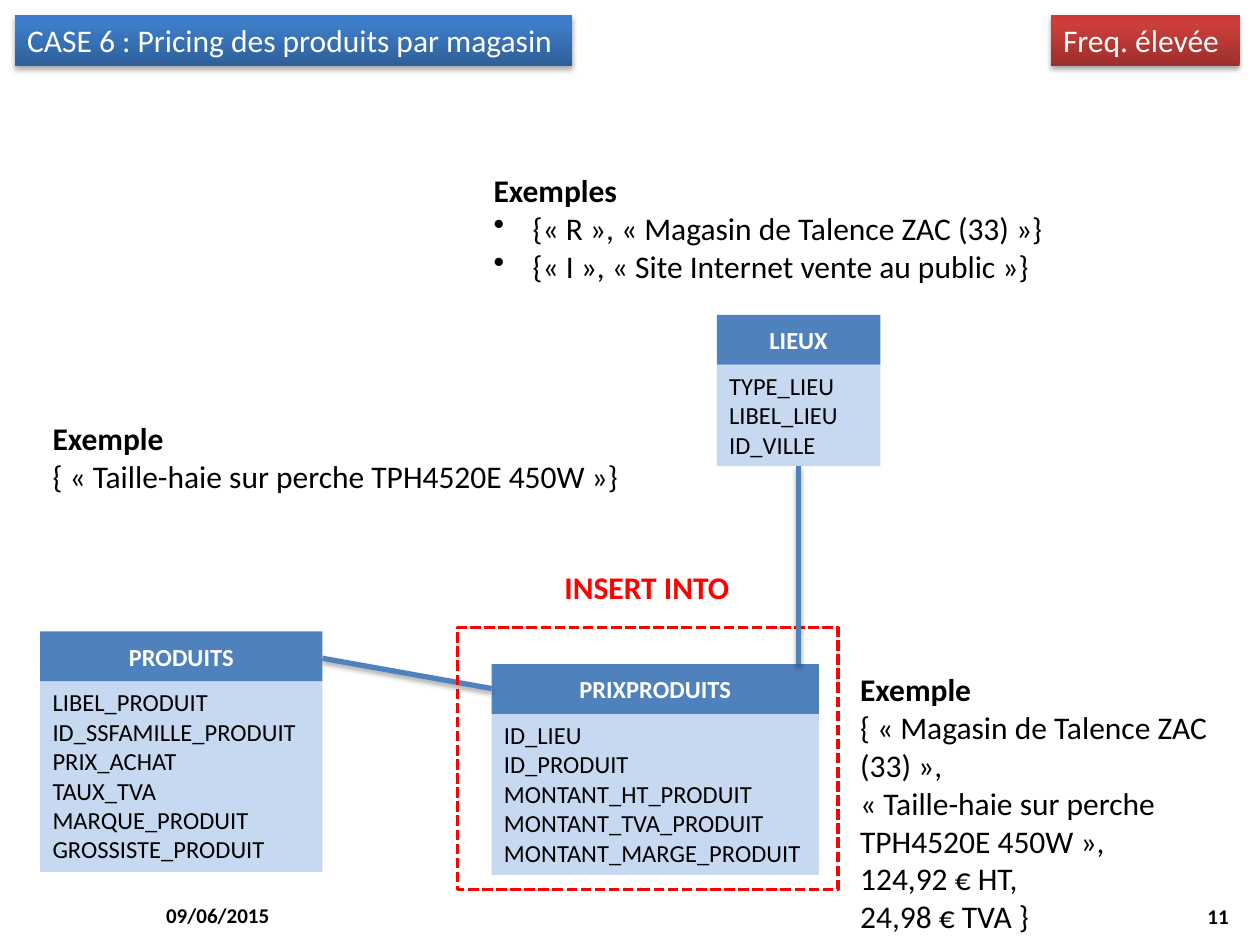
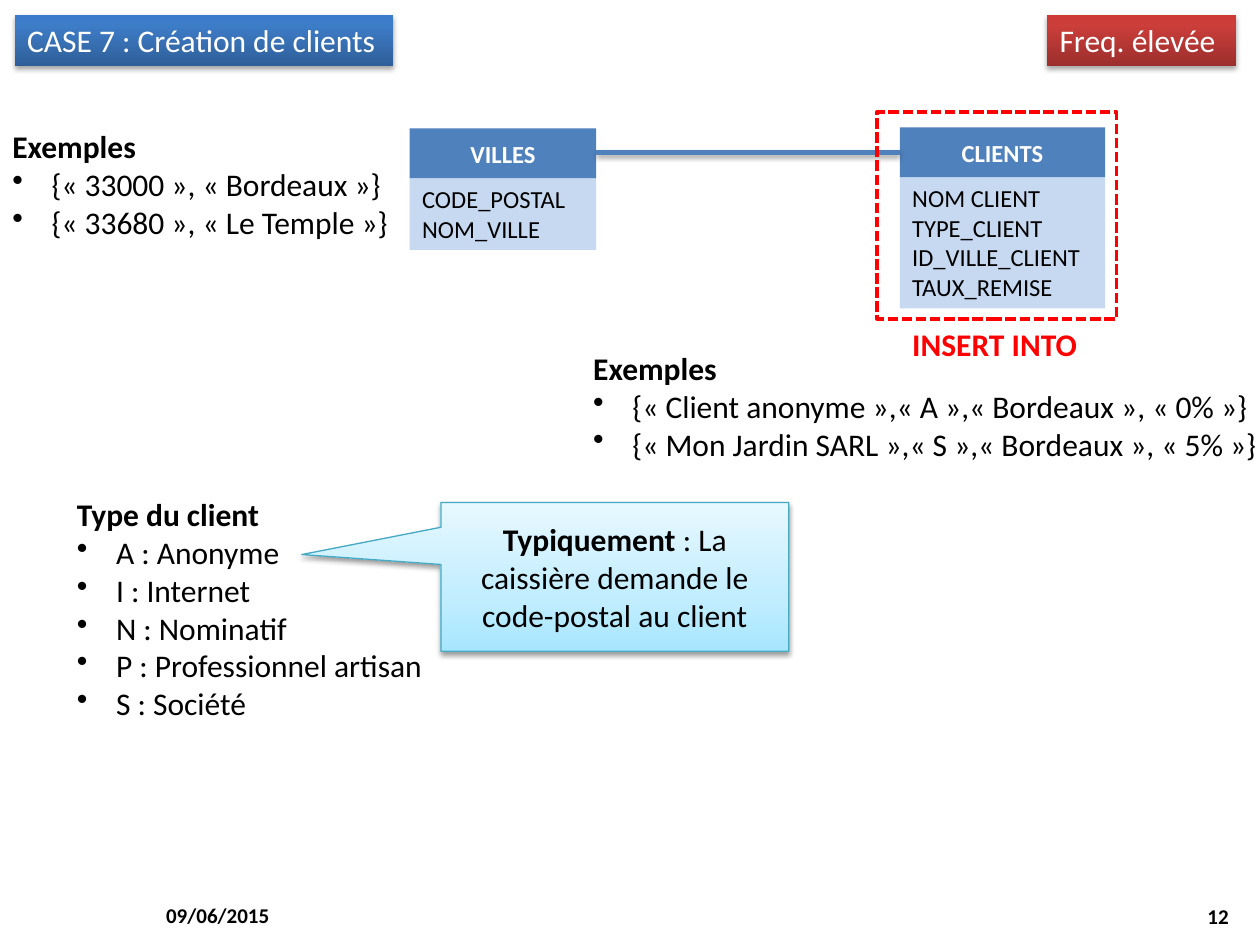
from copy import deepcopy

from lxml import etree
from pptx import Presentation
from pptx import util as u
from pptx.dml.color import RGBColor
from pptx.enum import dml, shapes, text
from pptx.oxml.ns import qn

Cm = u.Cm
COLORS = {
    "ink": "000000", "white": "FFFFFF", "alert": "FF0000",
    "head": "4F81BD", "body": "C6D9F1", "callout": "46AAC5",
}
GRADIENTS = {
    "title": [(0, "2F5F99"), (0.8, "3D7CC7"), (1, "3A7CCB")],
    "tag": [(0, "9C2F2D"), (0.8, "CB3E3A"), (1, "CE3B37")],
    "callout": [(0, "A7E6FF"), (0.35, "C1EDFF"), (1, "E7F8FF")],
}
HEAD_H, LINE_H, BODY_PAD = 1, 0.6, 0.25
LEFT, CENTER, RIGHT = text.PP_ALIGN.LEFT, text.PP_ALIGN.CENTER, text.PP_ALIGN.RIGHT


def rgb(name):
    return RGBColor.from_string(COLORS[name])


class Deck:
    FONT = "Calibri"

    def __init__(self):
        self.prs = Presentation()
        self.prs.slide_width, self.prs.slide_height = Cm(25.4), Cm(19.05)
        self.s = None

    def slide(self, title, title_w, tag_x, number):
        """Start a slide with its title band, frequency tag, date and number."""
        self.s = self.prs.slides.add_slide(self.prs.slide_layouts[6])
        self.note(3.1, 17.93, 5.92, 1.02, [[("09/06/2015", True)]], size=12, middle=True)
        self.note(19.1, 17.96, 5.92, 1.02, [[(number, True)]], size=12, middle=True,
                  align=RIGHT)
        self.band(0.3, title_w, title, "title", wrap=False)
        self.band(tag_x, 3.81, "Freq. élevée", "tag")

    def fill_text(self, sp, paragraphs, size=18, color="ink", align=LEFT, middle=False,
                  wrap=True, bullets=False):
        """Fill a shape with paragraphs, each a list of (words, bold) runs."""
        tf = sp.text_frame
        tf.word_wrap = wrap
        tf.vertical_anchor = text.MSO_ANCHOR.MIDDLE if middle else text.MSO_ANCHOR.TOP
        for i, runs in enumerate(paragraphs):
            p = tf.add_paragraph() if i else tf.paragraphs[0]
            p.alignment = align
            if bullets and i:
                pPr = p._p.get_or_add_pPr()
                pPr.set("marL", str(Cm(0.79)))
                pPr.set("indent", str(-Cm(0.79)))
                etree.SubElement(pPr, qn("a:buChar"), char="•")
            for words, bold in runs:
                r = p.add_run()
                r.text = words
                r.font.name, r.font.size, r.font.bold = self.FONT, u.Pt(size), bold
                r.font.color.rgb = rgb(color)

    def shape(self, kind, x, y, w, h, fill=None, line=None, width=1):
        sp = self.s.shapes.add_shape(kind, Cm(x), Cm(y), Cm(w), Cm(h))
        sp.shadow.inherit = False
        if fill:
            sp.fill.solid()
            sp.fill.fore_color.rgb = rgb(fill)
        else:
            sp.fill.background()
        if line:
            sp.line.color.rgb = rgb(line)
            sp.line.width = u.Pt(width)
        else:
            sp.line.fill.background()
        return sp

    def gradient(self, sp, name):
        sp.fill.gradient()
        sp.fill.gradient_angle = 90
        stops = sp._element.spPr.find(".//" + qn("a:gsLst"))
        stops.append(deepcopy(stops[0]))
        for stop, (position, color) in zip(sp.fill.gradient_stops, GRADIENTS[name]):
            stop.position = position
            stop.color.rgb = RGBColor.from_string(color)

    def cast_shadow(self, sp, alpha=35, distance=1.8):
        spPr = sp._element.spPr
        effects = spPr.find(qn("a:effectLst"))
        if effects is None:
            effects = etree.SubElement(spPr, qn("a:effectLst"))
        shadow = etree.SubElement(effects, qn("a:outerShdw"), blurRad=str(u.Pt(3.1)),
                                  dist=str(u.Pt(distance)), dir="5400000", rotWithShape="0")
        color = etree.SubElement(shadow, qn("a:srgbClr"), val=COLORS["ink"])
        etree.SubElement(color, qn("a:alpha"), val=str(alpha * 1000))

    def band(self, x, w, words, gradient, wrap=True):
        sp = self.shape(shapes.MSO_SHAPE.RECTANGLE, x, 0.3, w, 1.03)
        self.gradient(sp, gradient)
        self.cast_shadow(sp)
        self.fill_text(sp, [[(words, False)]], color="white", wrap=wrap)

    def note(self, x, y, w, h, paragraphs, **style):
        sp = self.s.shapes.add_textbox(Cm(x), Cm(y), Cm(w), Cm(h))
        self.fill_text(sp, paragraphs, **style)
        if not style.get("middle"):
            sp.text_frame.auto_size = text.MSO_AUTO_SIZE.SHAPE_TO_FIT_TEXT

    def example(self, x, y, w, h, heading, lines, **style):
        """Bold heading followed by plain lines."""
        self.note(x, y, w, h, [[(heading, True)]] + [[(line, False)] for line in lines],
                  **style)

    def entity(self, x, y, w, name, fields):
        """Database table: a header over its list of fields."""
        body = self.shape(shapes.MSO_SHAPE.RECTANGLE, x, y + HEAD_H, w,
                          BODY_PAD + LINE_H * len(fields), "body")
        self.fill_text(body, [[(field, False)] for field in fields], size=14)
        head = self.shape(shapes.MSO_SHAPE.SNIP_2_SAME_RECTANGLE, x, y, w, HEAD_H, "head")
        head.adjustments[0] = head.adjustments[1] = 0
        self.fill_text(head, [[(name, True)]], size=14, color="white", align=CENTER,
                       middle=True)

    def relation(self, x1, y1, x2, y2):
        c = self.s.shapes.add_connector(shapes.MSO_CONNECTOR.STRAIGHT,
                                        Cm(x1), Cm(y1), Cm(x2), Cm(y2))
        c.line.color.rgb = rgb("head")
        c.line.width = u.Pt(3)
        self.cast_shadow(c)

    def insert_zone(self, x, y, w, h, label_x, label_y):
        """Dashed frame around the table that receives rows, with its label."""
        sp = self.shape(shapes.MSO_SHAPE.RECTANGLE, x, y, w, h, line="alert", width=2)
        sp.line.dash_style = dml.MSO_LINE.SQUARE_DOT
        self.note(label_x, label_y, 3.86, 1.03, [[("INSERT INTO", True)]], color="alert",
                  wrap=False)

    def callout(self, x, y, w, h, runs):
        sp = self.shape(shapes.MSO_SHAPE.RECTANGULAR_CALLOUT, x, y, w, h,
                        line="callout", width=0.75)
        sp.adjustments[0], sp.adjustments[1] = -0.9, -0.15
        self.gradient(sp, "callout")
        self.cast_shadow(sp, 38, 1.6)
        self.fill_text(sp, [runs], align=CENTER, middle=True)


def pricing_slide(d):
    d.slide("CASE 6 : Pricing des produits par magasin", 11.23, 21.18, "11")
    d.entity(9.91, 13.39, 6.6, "PRIXPRODUITS",
             ["ID_LIEU", "ID_PRODUIT", "MONTANT_HT_PRODUIT", "MONTANT_TVA_PRODUIT",
              "MONTANT_MARGE_PRODUIT"])
    d.relation(6.5, 13.27, 9.91, 13.88)
    d.insert_zone(9.22, 12.65, 7.67, 5.28, 11.13, 11.33)
    d.entity(0.81, 12.73, 5.69, "PRODUITS",
             ["LIBEL_PRODUIT", "ID_SSFAMILLE_PRODUIT", "PRIX_ACHAT", "TAUX_TVA",
              "MARQUE_PRODUIT", "GROSSISTE_PRODUIT"])
    d.example(0.81, 8.33, 11.99, 1.8, "Exemple",
              ["{ « Taille-haie sur perche TPH4520E 450W »}"], wrap=False)
    d.entity(14.45, 6.35, 3.3, "LIEUX", ["TYPE_LIEU", "LIBEL_LIEU", "ID_VILLE"])
    d.relation(16.1, 9.4, 16.1, 13.39)
    d.example(9.7, 3.33, 12.01, 2.57, "Exemples",
              ["{« R », « Magasin de Talence ZAC (33) »}",
               "{« I », « Site Internet vente au public »}"], bullets=True)
    d.example(17.09, 13.39, 8.31, 5.64, "Exemple",
              ["{ « Magasin de Talence ZAC (33) »,",
               "« Taille-haie sur perche TPH4520E 450W »,",
               "124,92 € HT,", "24,98 € TVA }"])


def clients_slide(d):
    d.slide("CASE 7 : Création de clients", 7.62, 21.11, "12")
    d.entity(8.26, 2.59, 3.76, "VILLES", ["CODE_POSTAL", "NOM_VILLE"])
    d.entity(18.14, 2.57, 4.14, "CLIENTS",
             ["NOM CLIENT", "TYPE_CLIENT", "ID_VILLE_CLIENT", "TAUX_REMISE"])
    d.relation(12.02, 3.08, 18.14, 3.08)
    d.insert_zone(17.68, 2.26, 4.83, 4.17, 18.14, 6.43)
    d.example(0, 2.44, 8.26, 2.57, "Exemples",
              ["{« 33000 », « Bordeaux »}", "{« 33680 », « Le Temple »}"],
              wrap=False, bullets=True)
    d.example(11.71, 6.91, 14.12, 2.57, "Exemples",
              ["{« Client anonyme »,« A »,« Bordeaux », « 0% »}",
               "{« Mon Jardin SARL »,« S »,« Bordeaux », « 5% »}"],
              wrap=False, bullets=True)
    d.example(1.3, 9.86, 8.23, 4.88, "Type du client",
              ["A : Anonyme", "I : Internet", "N : Nominatif",
               "P : Professionnel artisan", "S : Société"], bullets=True)
    d.callout(8.89, 10.13, 7.01, 3,
              [("Typiquement", True),
               (" : La caissière demande le code-postal au client", False)])


def main():
    d = Deck()
    pricing_slide(d)
    clients_slide(d)
    d.prs.save("out.pptx")


if __name__ == "__main__":
    main()
